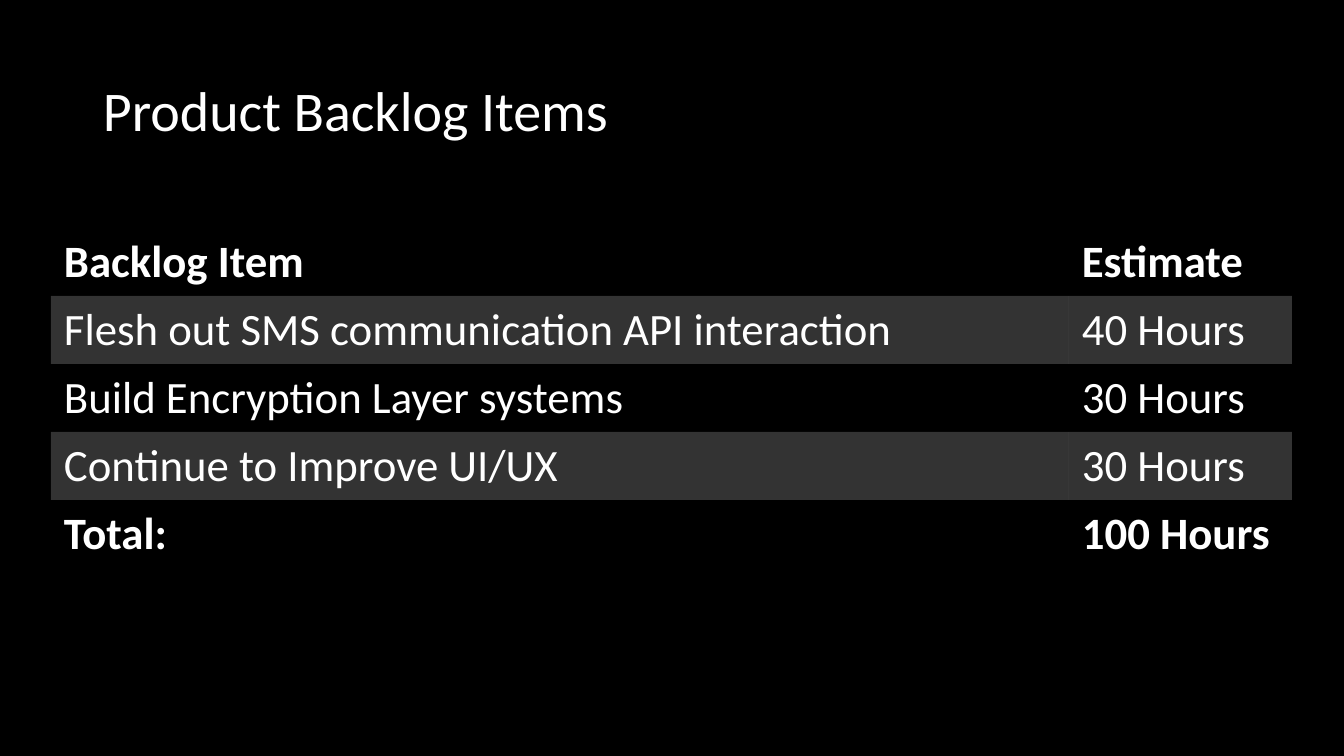
from lxml import etree
from pptx import Presentation
from pptx.dml.color import RGBColor
from pptx.enum.text import MSO_ANCHOR
from pptx.oxml.ns import qn
from pptx.util import Pt

BOTTOM = MSO_ANCHOR.BOTTOM
BLACK = RGBColor(0, 0, 0)
WHITE = RGBColor(255, 255, 255)
PLAIN = "{2D5ABB26-0587-4C30-8999-92F81FD0307C}"
ROWS = [
    ("Backlog Item", "Estimate"),
    ("Flesh out SMS communication API interaction", "40 Hours"),
    ("Build Encryption Layer systems", "30 Hours"),
    ("Continue to Improve UI/UX", "30 Hours"),
    ("Total:", "100 Hours"),
]
WIDTHS = (1018, 223)
ROW_H = 68


def px(n):
    return round(n * 914400 / 100.8)


def write(frame, text, size, bold=False):
    para = frame.paragraphs[0]
    run = para.add_run()
    run.text = text
    look = {"name": "Calibri", "size": Pt(size), "bold": bold}
    for key, value in look.items():
        setattr(run.font, key, value)
    run.font.color.rgb = WHITE
    return para


deck = Presentation()
deck.slide_width, deck.slide_height = px(1344), px(756)
slide = deck.slides.add_slide(deck.slide_layouts[6])
slide.background.fill.solid()
slide.background.fill.fore_color.rgb = BLACK

title = slide.shapes.add_textbox(px(93), px(63), px(720), px(86)).text_frame
title.word_wrap = True
title.vertical_anchor = BOTTOM
write(title, "Product Backlog Items", 40).line_spacing = 0.9

table = slide.shapes.add_table(
    len(ROWS), len(WIDTHS), px(51), px(228), px(sum(WIDTHS)), px(ROW_H * len(ROWS))
).table
table.first_row = table.horz_banding = False
table._tbl.tblPr.find(qn("a:tableStyleId")).text = PLAIN
for col, width in zip(table.columns, WIDTHS):
    col.width = px(width)

pads = {"margin_left": 13, "margin_right": 13, "margin_top": 7, "margin_bottom": 7}
for i, row in enumerate(ROWS):
    table.rows[i].height = px(ROW_H)
    for j, text in enumerate(row):
        cell = table.cell(i, j)
        for key, value in pads.items():
            setattr(cell, key, px(value))
        write(cell.text_frame, text, 32, bold=i in (0, len(ROWS) - 1))
        if i % 2:
            cell.fill.solid()
            cell.fill.fore_color.rgb = WHITE
            tint = cell._tc.tcPr.find(".//" + qn("a:srgbClr"))
            etree.SubElement(tint, qn("a:alpha"), val="20000")
        else:
            cell.fill.background()

deck.save("out.pptx")
